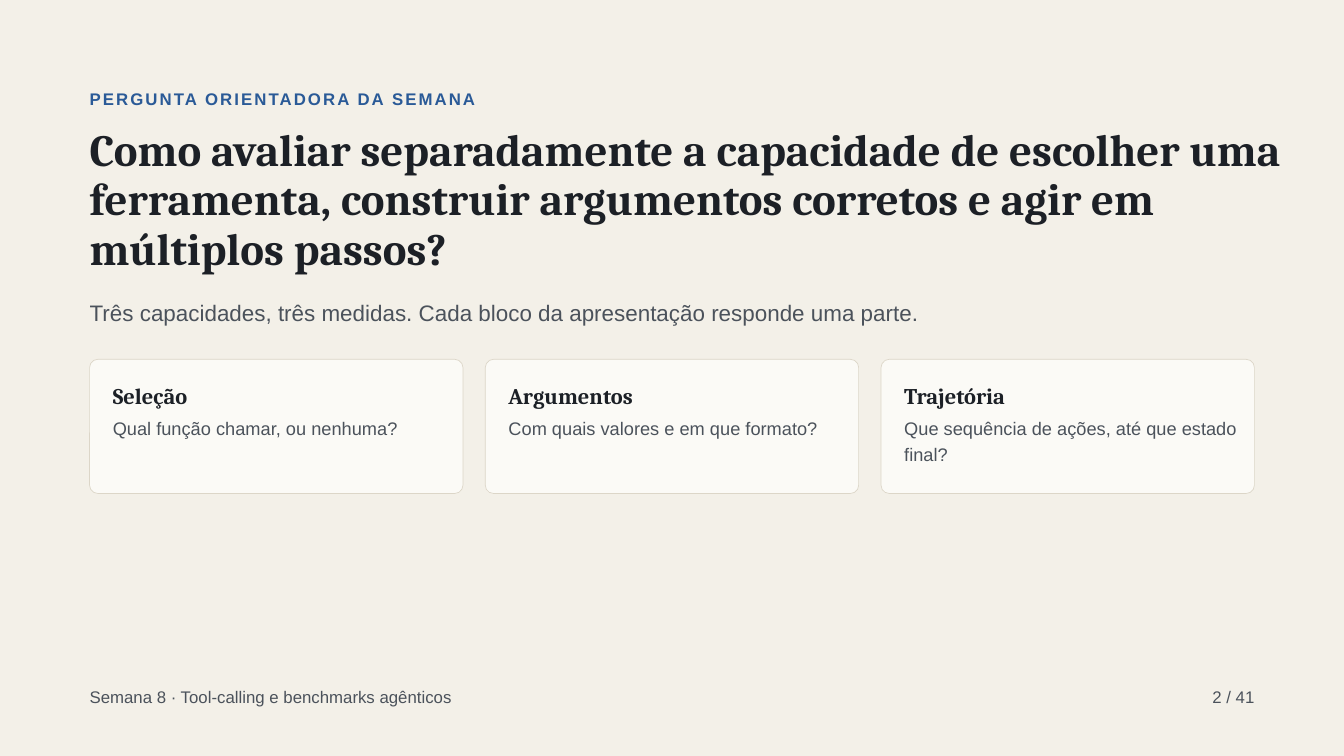
"""Build the guiding-question slide with its three skill cards."""
import dataclasses
import typing

import pptx
import pptx.dml.color
import pptx.enum.shapes
import pptx.enum.text
import pptx.util

Pt = pptx.util.Pt
Align = pptx.enum.text.PP_ALIGN


@dataclasses.dataclass(frozen=True)
class Style:
    font: str
    size: float
    color: str
    lead: float
    bold: bool = False
    track: float = 0


@dataclasses.dataclass(frozen=True)
class Theme:
    paper: str = "F3F0E8"
    panel: str = "FBFAF6"
    edge: str = "DCD6C8"
    label: Style = Style("Arial", 18, "2A5A97", 25.2, True, 2.2)
    title: Style = Style("Cambria", 48, "1C2026", 52.8, True)
    lede: Style = Style("Arial", 24, "4B525B", 34.8)
    head: Style = Style("Cambria", 24, "1C2026", 28.8, True)
    body: Style = Style("Arial", 19.5, "4B525B", 28.3)
    foot: Style = Style("Arial", 18, "4B525B", 25.2)


class Box(typing.NamedTuple):
    left: float
    top: float
    width: float
    height: float


class Card(typing.NamedTuple):
    head: str
    body: str
    depth: float = 36.7


THEME = Theme()
LEFT, WIDE, FULL = 96, 1248, 1285.2
GAP, TOP, HIGH, ROUND = 24, 385, 143.7, 8.7
PAD, INNER = 24.8, 360.7
CARDS = [
    Card("Seleção", "Qual função chamar, ou nenhuma?"),
    Card("Argumentos", "Com quais valores e em que formato?"),
    Card("Trajetória", "Que sequência de ações, até que estado final?", 65),
]


def tint(code: str) -> pptx.dml.color.RGBColor:
    """Turn a hex code into a colour."""
    return pptx.dml.color.RGBColor.from_string(code)


def add_text(slide, box: Box, text: str, style: Style, align=Align.LEFT) -> None:
    """Place one styled line of text in a box without margins."""
    frame = slide.shapes.add_textbox(*map(Pt, box)).text_frame
    frame.margin_left = frame.margin_right = 0
    frame.margin_top = frame.margin_bottom = 0
    frame.word_wrap = True
    frame.auto_size = pptx.enum.text.MSO_AUTO_SIZE.SHAPE_TO_FIT_TEXT
    para = frame.paragraphs[0]
    para.alignment = align
    para.line_spacing = Pt(style.lead)
    run = para.add_run()
    run.text = text
    font = run.font
    font.name, font.size, font.bold = style.font, Pt(style.size), style.bold
    font.color.rgb = tint(style.color)
    if style.track:
        run._r.get_or_add_rPr().set("spc", str(round(style.track * 100)))


def add_card(slide, card: Card, box: Box) -> None:
    """Draw a rounded panel with its heading and question."""
    kind = pptx.enum.shapes.MSO_SHAPE.ROUNDED_RECTANGLE
    panel = slide.shapes.add_shape(kind, *map(Pt, box))
    panel.adjustments[0] = ROUND / box.height
    panel.shadow.inherit = False
    panel.fill.solid()
    panel.fill.fore_color.rgb = tint(THEME.panel)
    panel.line.color.rgb = tint(THEME.edge)
    panel.line.width = Pt(0.75)
    left = box.left + PAD
    add_text(slide, Box(left, box.top + PAD, INNER, 31.7), card.head, THEME.head)
    add_text(slide, Box(left, box.top + 57, INNER, card.depth), card.body, THEME.body)


def main() -> None:
    """Build and save the deck."""
    deck = pptx.Presentation()
    deck.slide_width, deck.slide_height = Pt(1440), Pt(810)
    slide = deck.slides.add_slide(deck.slide_layouts[6])
    slide.background.fill.solid()
    slide.background.fill.fore_color.rgb = tint(THEME.paper)

    add_text(slide, Box(LEFT, 91.5, FULL, 32.4),
             "PERGUNTA ORIENTADORA DA SEMANA", THEME.label)
    add_text(slide, Box(LEFT, 135.4, FULL, 158),
             "Como avaliar separadamente a capacidade de escolher uma ferramenta, "
             "construir argumentos corretos e agir em múltiplos passos?", THEME.title)
    add_text(slide, Box(LEFT, 314.6, FULL, 43.2),
             "Três capacidades, três medidas. "
             "Cada bloco da apresentação responde uma parte.", THEME.lede)

    width = (WIDE - GAP * (len(CARDS) - 1)) / len(CARDS)
    for rank, card in enumerate(CARDS):
        add_card(slide, card, Box(LEFT + rank * (width + GAP), TOP, width, HIGH))

    add_text(slide, Box(LEFT, 732.2, 849.6, 32.4),
             "Semana 8 · Tool-calling e benchmarks agênticos", THEME.foot)
    add_text(slide, Box(LEFT + WIDE - 156, 732.2, 156, 32.4),
             "2 / 41", THEME.foot, Align.RIGHT)
    deck.save("out.pptx")


if __name__ == "__main__":
    main()
